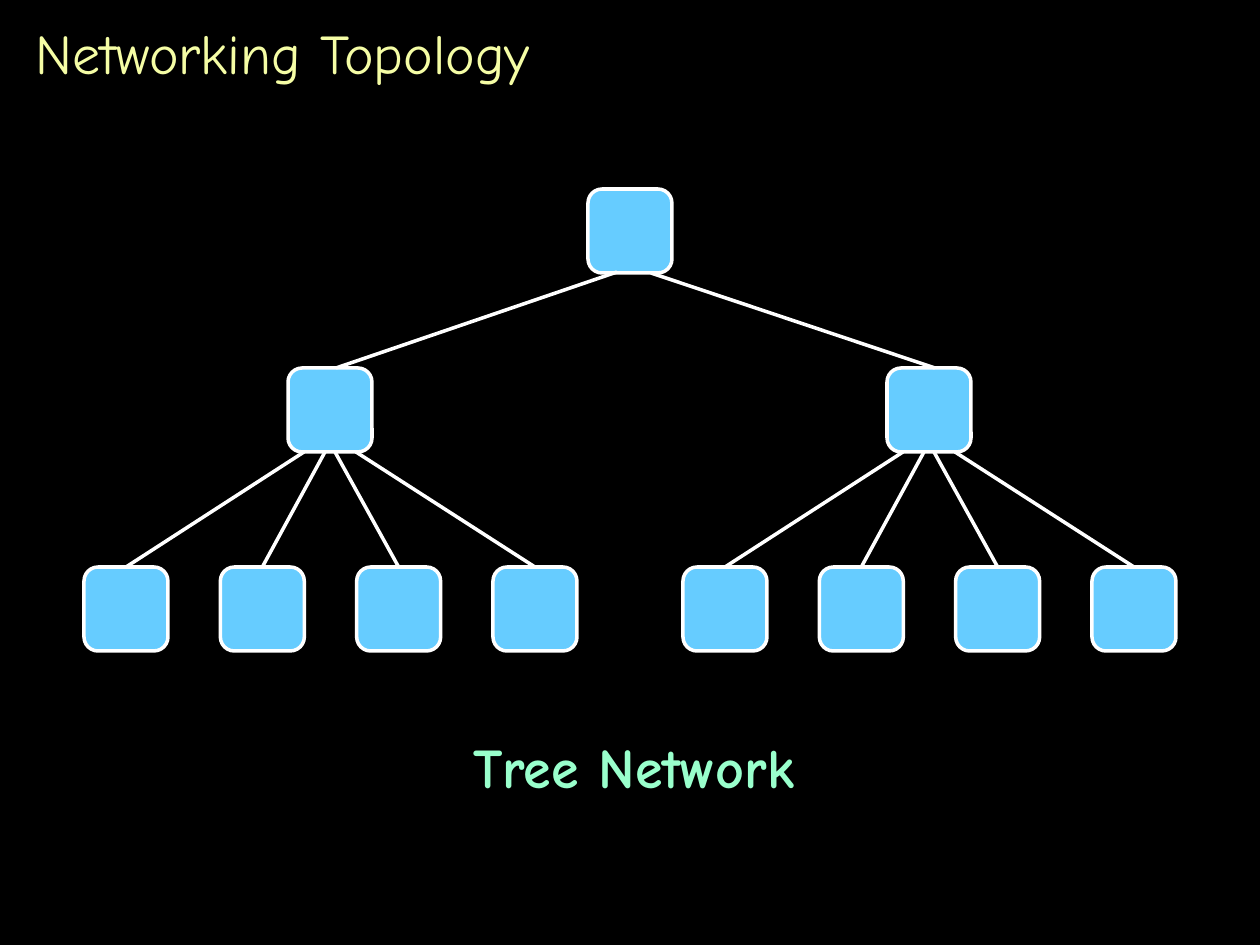
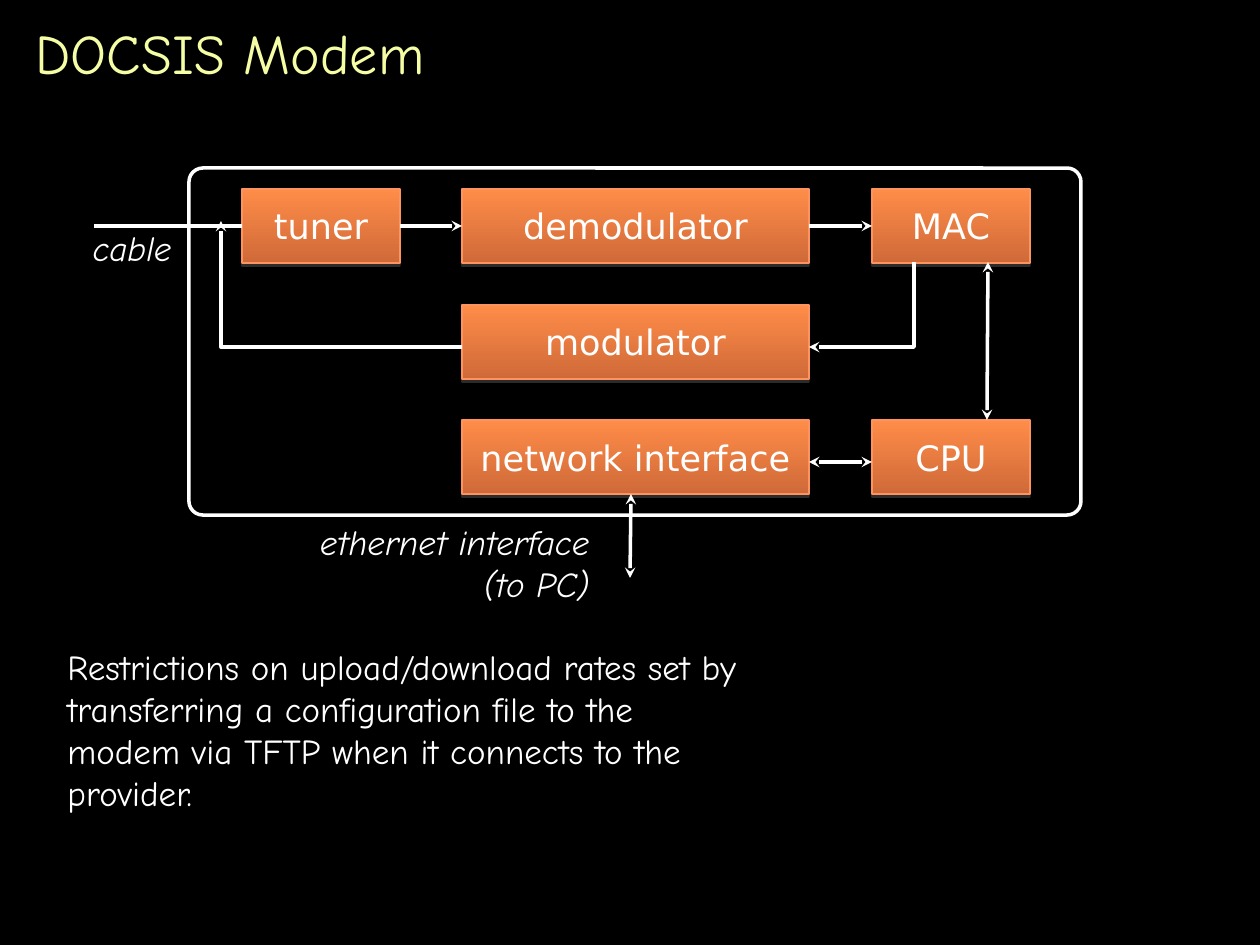
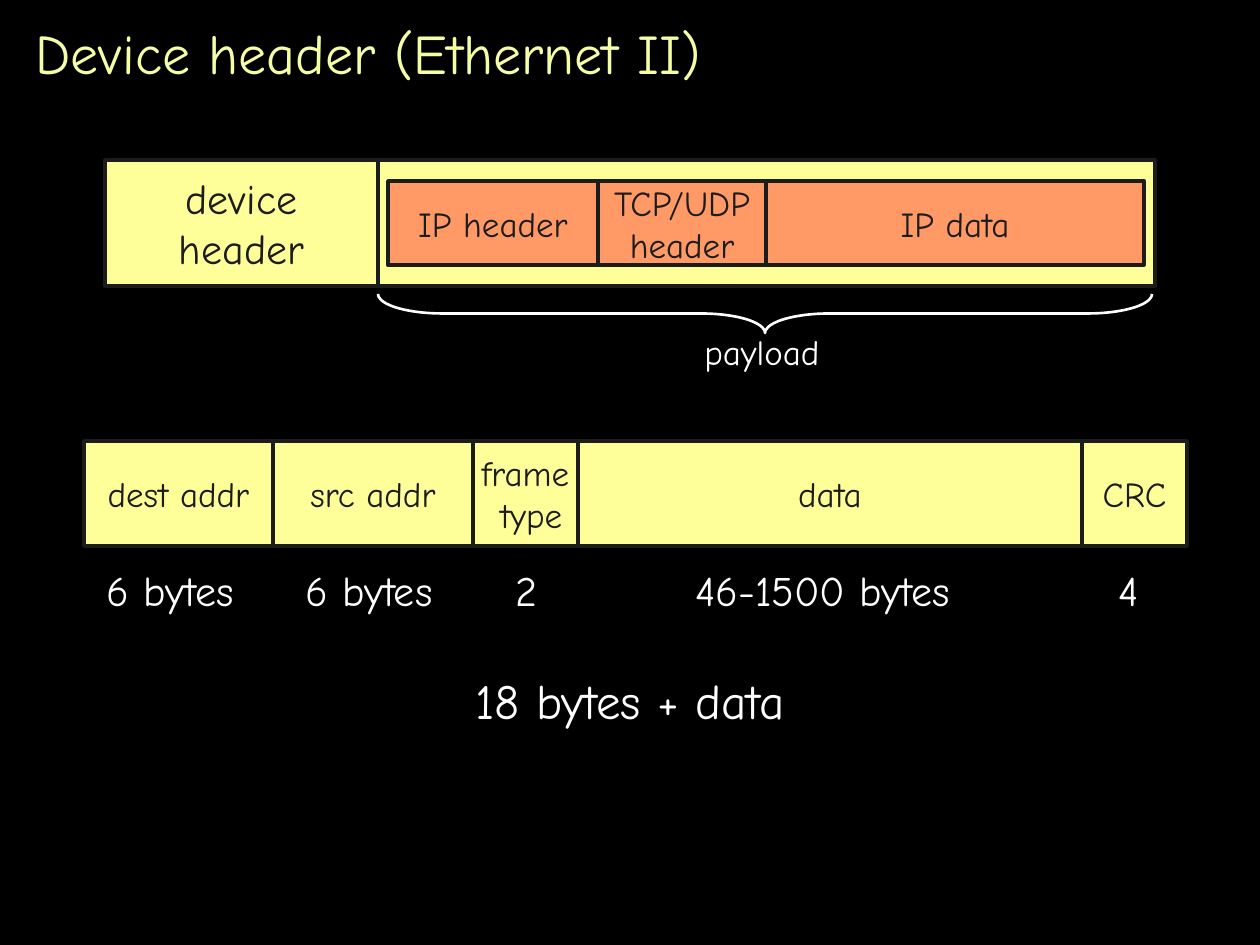
from itertools import accumulate

from lxml import etree
from pptx import Presentation
from pptx import util as u
from pptx.dml.color import RGBColor
from pptx.enum import shapes as kinds, text as t
from pptx.oxml.ns import qn

EMU_PER_PX = 914400 / 126
SLIDE_SIZE = (1260, 945)
TITLE_BOX = (23, 10, 1218, 84)
HAND, SANS = "Comic Neue", "DejaVu Sans"
COLORS = {
    "background": "000000", "title": "F5FDA5", "white": "FFFFFF", "ink": "1C1C1C",
    "node": "66CCFF", "caption": "99FFCC", "header": "FFFF99", "packet": "FF9966",
    "block top": "FF8C49", "block bottom": "CF6A38", "block edge": "FD9460",
    "shadow": "808080",
}
TOP, LEFT, BOTTOM, RIGHT = range(4)
ROUND, RECT = kinds.MSO_SHAPE.ROUNDED_RECTANGLE, kinds.MSO_SHAPE.RECTANGLE

# Tree network
NODE = 84
ROOT = (588, 189)
SUBTREE_LEFTS = (84, 683)
HUB_SHIFT, HUB_TOP = 204, 368
LEAF_TOP, LEAF_SPAN = 567, 409
BRANCH_STARTS = (16, 37, 47, 68)
ROOT_LINES = [((617, 272), (336, 368)), ((935, 368), (651, 273))]

# Modem: columns are (left, width)
COLUMNS = [(242, 158), (462, 347), (872, 158)]
ROW_TOPS = (189, 305, 420)
BLOCK_HEIGHT = 74
BLOCKS = [
    ("modulator", 1, 1), ("demodulator", 1, 0), ("tuner", 0, 0),
    ("MAC", 2, 0), ("CPU", 2, 2), ("network interface", 1, 2),
]
TWO_WAY_LINES = [
    ((988, 262), (987, 420)), ((872, 462), (809, 462)), ((631, 494), (630, 578)),
]
BENT_ARROWS = [
    [(914, 262), (914, 347), (809, 347)],
    [(462, 347), (221, 347), (221, 221)],
]
RESTRICTIONS = (
    "Restrictions on upload/download rates set by transferring a configuration "
    "file to the modem via TFTP when it connects to the provider."
)

# Packet strips: (text, width)
OUTER_FIELDS = [("device\vheader", 273), ("", 777)]
INNER_FIELDS = [("IP header", 210), ("TCP/UDP\nheader", 168), ("IP data", 378)]
FRAME_FIELDS = [
    ("dest addr", 189), ("src addr", 200), ("frame\v type", 105), ("data", 504), ("CRC", 105),
]
BYTE_COUNTS = [
    ("6 bytes", 92, 156), ("6 bytes", 291, 156), ("2", 502, 49),
    ("46-1500 bytes", 680, 285), ("4", 1104, 49),
]
BRACE = (378, 294, 774, 39)


def emu(*lengths):
    return [u.Emu(round(length * EMU_PER_PX)) for length in lengths]


def rgb(name):
    return RGBColor.from_string(COLORS[name])


def write_text(shape, content, *, size=20, color="white", font=HAND, align="LEFT",
               anchor="MIDDLE", wrap=False, bold=False, italic=False):
    frame = shape.text_frame
    frame.text = content
    frame.word_wrap = wrap
    frame.vertical_anchor = t.MSO_ANCHOR[anchor]
    for paragraph in frame.paragraphs:
        paragraph.alignment = t.PP_ALIGN[align]
        for run in paragraph.runs:
            run.font.name, run.font.size = font, u.Pt(size)
            run.font.bold, run.font.italic = bold, italic
            run.font.color.rgb = rgb(color)


def add_label(slide, content, box, **style):
    label = slide.shapes.add_textbox(*emu(*box))
    write_text(label, content, anchor="TOP", **style)
    label.text_frame.auto_size = t.MSO_AUTO_SIZE.SHAPE_TO_FIT_TEXT


def set_line(shape, color="white", width=2):
    shape.line.color.rgb = rgb(color)
    shape.line.width = u.Pt(width)


def add_box(shapes, kind, box, *, fill=None, line="white", width=2):
    shape = shapes.add_shape(kind, *emu(*box))
    shape.shadow.inherit = False
    if fill:
        shape.fill.solid()
        shape.fill.fore_color.rgb = rgb(fill)
    else:
        shape.fill.background()
    set_line(shape, line, width)
    return shape


def add_arrowheads(shape, *ends):
    """Put a stealth arrowhead on each named end: headEnd starts the line, tailEnd ends it."""
    outline = shape.line._get_or_add_ln()
    for end in ends:
        etree.SubElement(outline, qn(f"a:{end}"), type="stealth")


def add_line(shapes, start, end, *arrow_ends):
    line = shapes.add_connector(kinds.MSO_CONNECTOR.STRAIGHT, *emu(*start, *end))
    set_line(line)
    add_arrowheads(line, *arrow_ends)
    etree.SubElement(line._element.spPr, qn("a:effectLst"))
    return line


def side_middle(box, side):
    left, top, width, height = box
    return {TOP: (left + width / 2, top), BOTTOM: (left + width / 2, top + height),
            LEFT: (left, top + height / 2), RIGHT: (left + width, top + height / 2)}[side]


def add_slide(presentation, title):
    slide = presentation.slides.add_slide(presentation.slide_layouts[5])
    heading = slide.shapes.title
    heading.left, heading.top, heading.width, heading.height = emu(*TITLE_BOX)
    write_text(heading, title, size=32, color="title", wrap=True)
    heading.text_frame.auto_size = t.MSO_AUTO_SIZE.NONE
    return slide


def add_node(shapes, left, top):
    return add_box(shapes, ROUND, (left, top, NODE, NODE), fill="node")


def add_subtree(slide, left):
    shapes = slide.shapes.add_group_shape().shapes
    hub_left = left + HUB_SHIFT
    add_node(shapes, hub_left, HUB_TOP)
    pitch = LEAF_SPAN / (len(BRANCH_STARTS) - 1)
    leaf_lefts = [left + i * pitch for i in range(len(BRANCH_STARTS))]
    leaves = [add_node(shapes, leaf_left, LEAF_TOP) for leaf_left in leaf_lefts]
    for leaf, leaf_left, shift in zip(leaves, leaf_lefts, BRANCH_STARTS):
        branch = add_line(shapes, (hub_left + shift, HUB_TOP + NODE),
                          (leaf_left + NODE / 2, LEAF_TOP))
        branch.end_connect(leaf, TOP)


def build_tree_slide(presentation):
    slide = add_slide(presentation, "Networking Topology")
    add_node(slide.shapes, *ROOT)
    add_label(slide, "Tree Network", (461, 726, 348, 80), size=32, color="caption", bold=True)
    for left, (start, end) in zip(SUBTREE_LEFTS, ROOT_LINES):
        add_subtree(slide, left)
        add_line(slide.shapes, start, end)


def add_block(slide, name, box):
    block = add_box(slide.shapes, RECT, box, line="block edge", width=0.75)
    block.fill.gradient()
    block.fill.gradient_angle = 270
    for stop, position, color in zip(block.fill.gradient_stops, (0, 1),
                                     ("block top", "block bottom")):
        stop.position, stop.color.rgb = position, rgb(color)
    effects = block._element.spPr.find(qn("a:effectLst"))
    shadow = etree.SubElement(effects, qn("a:outerShdw"), blurRad="0",
                              dist=str(u.Pt(1.8)), dir="5400000", rotWithShape="0")
    tone = etree.SubElement(shadow, qn("a:srgbClr"), val=COLORS["shadow"])
    etree.SubElement(tone, qn("a:alpha"), val="35000")
    write_text(block, name, font=SANS, align="CENTER")
    return block


def add_bent_arrow(slide, points):
    first, *rest = [emu(*point) for point in points]
    builder = slide.shapes.build_freeform(*first)
    builder.add_line_segments(rest, close=False)
    arrow = builder.convert_to_shape()
    arrow.shadow.inherit = False
    arrow.fill.background()
    set_line(arrow)
    add_arrowheads(arrow, "tailEnd")


def build_modem_slide(presentation):
    slide = add_slide(presentation, "DOCSIS Modem")
    case = add_box(slide.shapes, ROUND, (189, 168, 892, 347))
    case.adjustments[0] = 0.04
    boxes, blocks = {}, {}
    for name, column, row in BLOCKS:
        left, width = COLUMNS[column]
        boxes[name] = (left, ROW_TOPS[row], width, BLOCK_HEIGHT)
        blocks[name] = add_block(slide, name, boxes[name])
    for source, target in [("tuner", "demodulator"), ("demodulator", "MAC")]:
        arrow = add_line(slide.shapes, side_middle(boxes[source], RIGHT),
                         side_middle(boxes[target], LEFT), "tailEnd")
        arrow.begin_connect(blocks[source], RIGHT)
        arrow.end_connect(blocks[target], LEFT)
    for start, end in TWO_WAY_LINES:
        add_line(slide.shapes, start, end, "headEnd", "tailEnd")
    cable = add_line(slide.shapes, side_middle(boxes["tuner"], LEFT), (94, 226))
    cable.begin_connect(blocks["tuner"], LEFT)
    for points in BENT_ARROWS:
        add_bent_arrow(slide, points)
    add_label(slide, RESTRICTIONS, (55, 639, 711, 181), wrap=True)
    add_label(slide, "ethernet interface\v(to PC)", (305, 514, 297, 97),
              align="RIGHT", italic=True)
    add_label(slide, "cable", (79, 220, 105, 55), align="RIGHT", italic=True)


def add_strip(slide, fields, left, top, height, *, fill, size=20):
    """Lay fields side by side from the left edge."""
    lefts = accumulate([width for _, width in fields], initial=left)
    for (name, width), field_left in zip(fields, lefts):
        field = add_box(slide.shapes, RECT, (field_left, top, width, height),
                        fill=fill, line="ink")
        if name:
            write_text(field, name, size=size, color="ink", align="CENTER")


def add_brace(slide, left, top, width, height):
    """Turn a right brace so that it spans the width and points down."""
    box = (left + (width - height) / 2, top + (height - width) / 2, height, width)
    brace = add_box(slide.shapes, kinds.MSO_SHAPE.RIGHT_BRACE, box, width=1.5)
    brace.rotation = 90
    brace.adjustments[0] = 1.65


def build_header_slide(presentation):
    slide = add_slide(presentation, "Device header (Ethernet II)")
    add_strip(slide, OUTER_FIELDS, 105, 160, 126, fill="header", size=24)
    add_strip(slide, INNER_FIELDS, 388, 181, 84, fill="packet")
    add_strip(slide, FRAME_FIELDS, 84, 441, 105, fill="header")
    for count, left, width in BYTE_COUNTS:
        add_label(slide, count, (left, 558, width, 63), size=24, align="CENTER")
    add_label(slide, "18 bytes + data", (459, 664, 342, 72), size=28, align="CENTER")
    add_label(slide, "payload", (687, 324, 150, 55), align="CENTER")
    add_brace(slide, *BRACE)


def main():
    presentation = Presentation()
    presentation.slide_width, presentation.slide_height = emu(*SLIDE_SIZE)
    backdrop = presentation.slide_master.background.fill
    backdrop.solid()
    backdrop.fore_color.rgb = rgb("background")
    build_tree_slide(presentation)
    build_modem_slide(presentation)
    build_header_slide(presentation)
    presentation.save("out.pptx")


if __name__ == "__main__":
    main()
